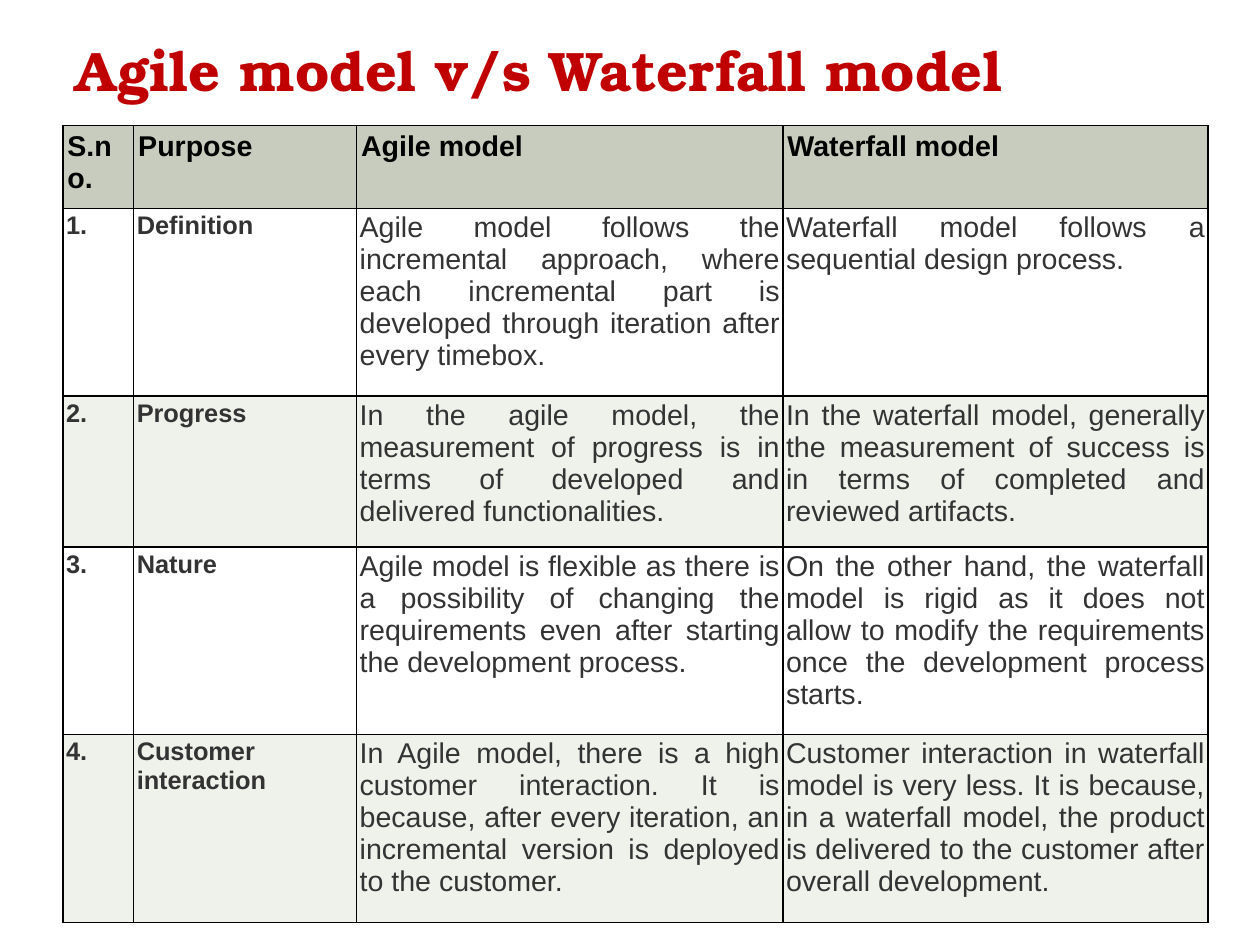
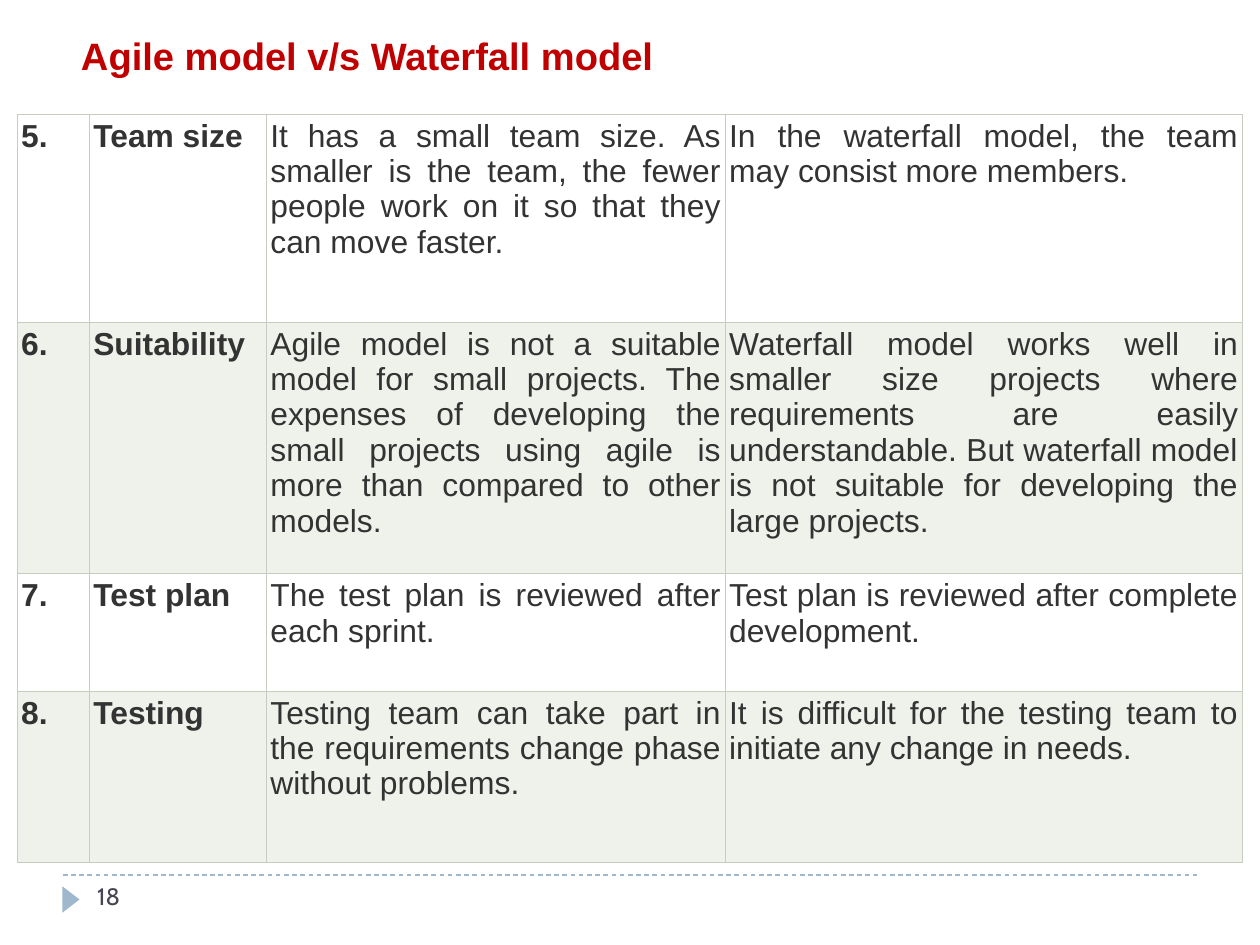
from dataclasses import dataclass

from lxml.etree import SubElement
from pptx import Presentation
from pptx.dml.color import RGBColor
from pptx.enum.dml import MSO_LINE
from pptx.enum.shapes import MSO_CONNECTOR, MSO_SHAPE
from pptx.enum.text import MSO_ANCHOR, MSO_AUTO_SIZE, PP_ALIGN
from pptx.oxml.ns import qn
from pptx.util import Pt


@dataclass(frozen=True)
class Theme:
    title: str = "C00000"
    accent: str = "9FB8CD"
    number: str = "464653"
    header: str = "000000"
    body: str = "333333"
    header_fill: str = "C7CCBE"
    bands: tuple = ("FFFFFF", "EFF1EB")
    font: str = "Arial"
    display_font: str = "TeX Gyre Bonum"
    number_font: str = "Cabin"
    display_size: float = 35
    title_size: float = 24
    header_size: float = 18
    number_size: float = 15


@dataclass(frozen=True)
class TableStyle:
    border: str
    border_width: float
    inset: float
    label_size: float
    text_size: float


T = Theme()
GRID = TableStyle("000000", 1, 2, 16, 18)
SOFT = TableStyle(T.header_fill, 0.75, 2.6, 20, 20)

TITLE = "Agile model v/s Waterfall model"
HEADER = ("S.no.", "Purpose", "Agile model", "Waterfall model")
FIRST_ROWS = (
    ("1.", "Definition",
     "Agile model follows the incremental approach, where each incremental part is "
     "developed through iteration after every timebox.",
     "Waterfall model follows a sequential design process."),
    ("2.", "Progress",
     "In the agile model, the measurement of progress is in terms of developed and "
     "delivered functionalities.",
     "In the waterfall model, generally the measurement of success is in terms of "
     "completed and reviewed artifacts."),
    ("3.", "Nature",
     "Agile model is flexible as there is a possibility of changing the requirements "
     "even after starting the development process.",
     "On the other hand, the waterfall model is rigid as it does not allow to modify "
     "the requirements once the development process starts."),
    ("4.", "Customer interaction",
     "In Agile model, there is a high customer interaction. It is because, after every "
     "iteration, an incremental version is deployed to the customer.",
     "Customer interaction in waterfall model is very less. It is because, in a "
     "waterfall model, the product is delivered to the customer after overall "
     "development."),
)
SECOND_ROWS = (
    ("5.", "Team size",
     "It has a small team size. As smaller is the team, the fewer people work on it so "
     "that they can move faster.",
     "In the waterfall model, the team may consist more members."),
    ("6.", "Suitability",
     "Agile model is not a suitable model for small projects. The expenses of "
     "developing the small projects using agile is more than compared to other models.",
     "Waterfall model works well in smaller size projects where requirements are easily "
     "understandable. But waterfall model is not suitable for developing the large "
     "projects."),
    ("7.", "Test plan",
     "The test plan is reviewed after each sprint.",
     "Test plan is reviewed after complete development."),
    ("8.", "Testing",
     "Testing team can take part in the requirements change phase without problems.",
     "It is difficult for the testing team to initiate any change in needs."),
)


def rgb(color):
    return RGBColor.from_string(color)


def style_runs(p, font, size, color, bold=False):
    for r in p.runs:
        f = r.font
        f.name, f.size, f.bold = font, Pt(size), bold
        f.color.rgb = rgb(color)


def set_insets(target, x, y):
    target.margin_left = target.margin_right = Pt(x)
    target.margin_top = target.margin_bottom = Pt(y)


def move_to_layout(layout, sp, shape_id):
    """Hand a drawn shape to the layout, so that every slide shows it."""
    sp.element.xpath(".//p:cNvPr")[0].set("id", str(shape_id))
    layout.shapes.element.append(sp.element)


def add_footer_band(slide, layout, left, top, width):
    line = slide.shapes.add_connector(
        MSO_CONNECTOR.STRAIGHT, Pt(left), Pt(top), Pt(left + width), Pt(top))
    line.line.color.rgb = rgb(T.accent)
    line.line.width = Pt(0.75)
    line.line.dash_style = MSO_LINE.DASH
    SubElement(line.element.spPr, qn("a:effectLst"))

    marker = slide.shapes.add_shape(
        MSO_SHAPE.ISOSCELES_TRIANGLE, Pt(left - 3.2), Pt(top + 10), Pt(16.6), Pt(10.8))
    marker.rotation = 90
    marker.shadow.inherit = False
    marker.fill.solid()
    marker.fill.fore_color.rgb = rgb(T.accent)
    marker.line.fill.background()

    for shape_id, sp in enumerate((line, marker), 20):
        move_to_layout(layout, sp, shape_id)


def add_title(slide, box, font, size, anchor):
    sp = slide.shapes.title
    sp.left, sp.top, sp.width, sp.height = map(Pt, box)
    tf = sp.text_frame
    tf.text = TITLE
    tf.auto_size = MSO_AUTO_SIZE.NONE
    tf.vertical_anchor = anchor
    set_insets(tf, 7.5, 4)
    p = tf.paragraphs[0]
    p.alignment = PP_ALIGN.LEFT
    style_runs(p, font, size, T.title, True)


def add_slide_number(slide, number, box):
    sp = slide.shapes.add_textbox(*map(Pt, box))
    tf = sp.text_frame
    tf.word_wrap = True
    set_insets(tf, 7.9, 4.3)
    tf.text = number
    style_runs(tf.paragraphs[0], T.number_font, T.number_size, T.number)


def add_borders(cell, color, width):
    tc_pr = cell._tc.get_or_add_tcPr()
    for side in ("a:lnL", "a:lnR", "a:lnT", "a:lnB"):
        ln = SubElement(tc_pr, qn(side), w=str(Pt(width)))
        fill = SubElement(ln, qn("a:solidFill"))
        SubElement(fill, qn("a:srgbClr"), val=color)


def fill_cell(cell, text, style, fill, inset, size, color, bold, align):
    add_borders(cell, style.border, style.border_width)
    cell.fill.solid()
    cell.fill.fore_color.rgb = rgb(fill)
    set_insets(cell, inset, inset)
    cell.text = text
    p = cell.text_frame.paragraphs[0]
    p.alignment = align
    style_runs(p, T.font, size, color, bold)


def add_comparison(slide, left, top, widths, heights, rows, style, header=None):
    """Table of banded rows; the first two columns are bold labels."""
    lines = ((header,) if header else ()) + rows
    table = slide.shapes.add_table(
        len(lines), len(widths), Pt(left), Pt(top),
        Pt(sum(widths)), Pt(sum(heights))).table
    table.first_row = bool(header)
    table.horz_banding = False
    for column, width in zip(table.columns, widths):
        column.width = Pt(width)
    for row, height in zip(table.rows, heights):
        row.height = Pt(height)

    first_body = len(lines) - len(rows)
    for i, line in enumerate(lines):
        for j, text in enumerate(line):
            cell = table.cell(i, j)
            if i < first_body:
                fill_cell(cell, text, style, T.header_fill, 2.9, T.header_size,
                          T.header, True, PP_ALIGN.LEFT)
            else:
                label = j < 2
                fill_cell(cell, text, style, T.bands[(i - first_body) % 2],
                          style.inset, style.label_size if label else style.text_size,
                          T.body, label, PP_ALIGN.JUSTIFY)


def build_first_slide(slide):
    add_title(slide, (40, 13, 714.2, 55.4), T.display_font, T.display_size,
              MSO_ANCHOR.BOTTOM)
    add_comparison(slide, 39.6, 79.2, (44.6, 140.4, 268.6, 267.8),
                   (52, 118.3, 95.1, 118.3, 118.3), FIRST_ROWS, GRID, HEADER)


def build_second_slide(slide):
    add_title(slide, (43.5, 16.6, 396.7, 36), T.font, T.title_size, MSO_ANCHOR.MIDDLE)
    add_comparison(slide, 10.8, 72, (45.4, 111.6, 289, 325.8),
                   (131, 158.4, 74, 108.2), SECOND_ROWS, SOFT)
    add_slide_number(slide, "18", (53.3, 551.2, 172, 31.7))


def main():
    prs = Presentation()
    prs.slide_width, prs.slide_height = Pt(793.75), Pt(595.25)
    layout = prs.slide_layouts.get_by_name("Title Only")
    first, second = (prs.slides.add_slide(layout) for _ in range(2))
    add_footer_band(first, layout, 39.6, 551.2, 714.2)
    build_first_slide(first)
    build_second_slide(second)
    prs.save("out.pptx")


if __name__ == "__main__":
    main()
